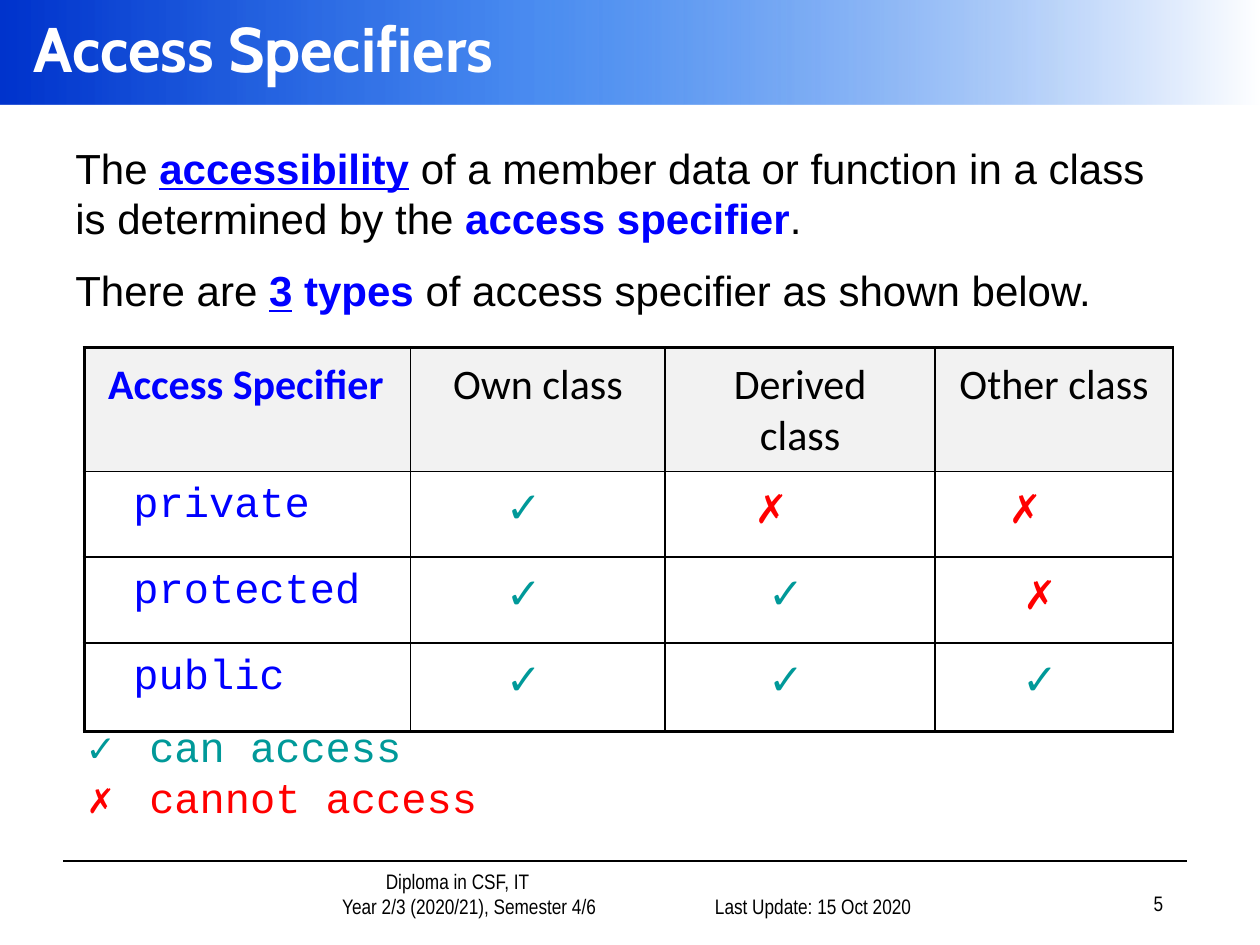
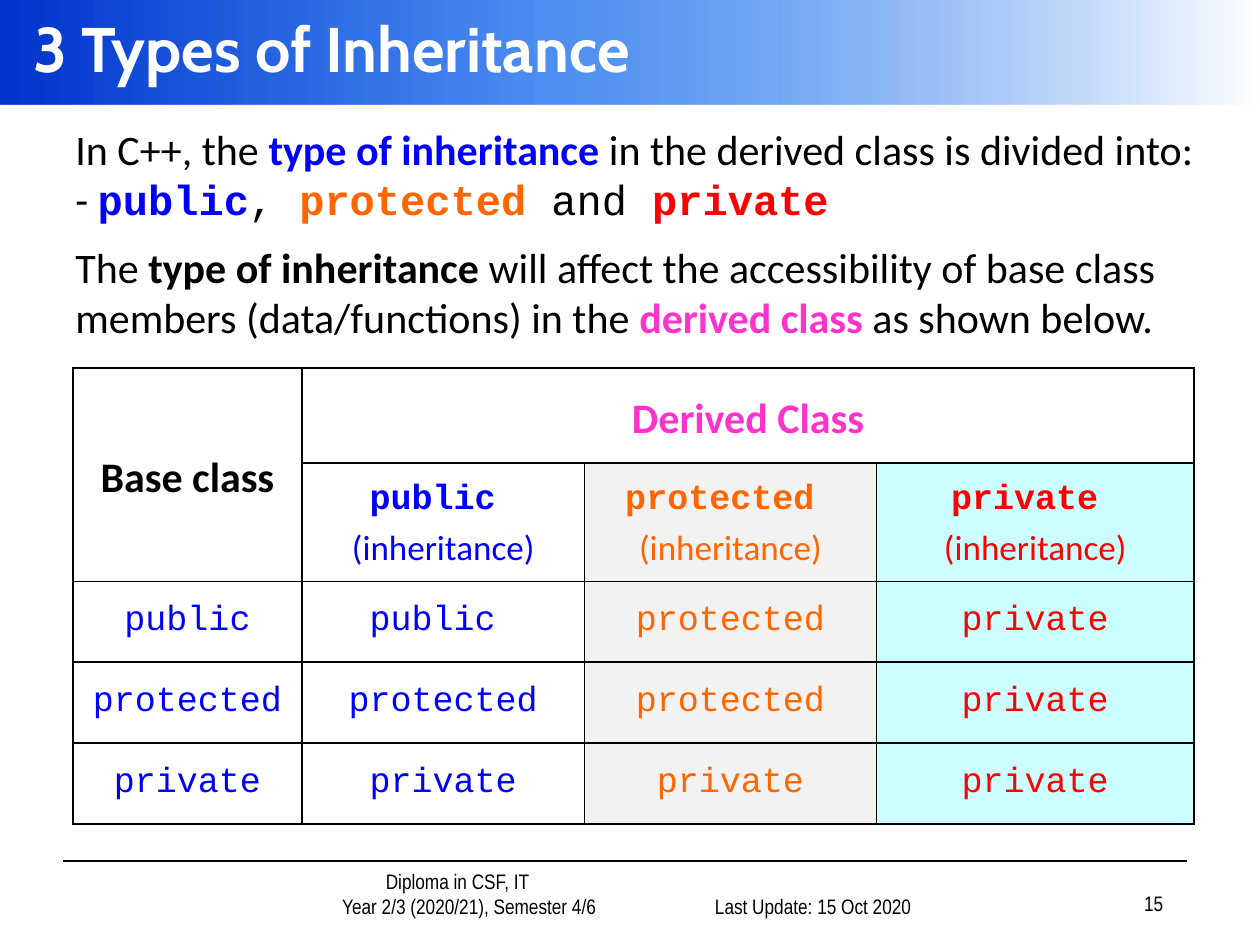
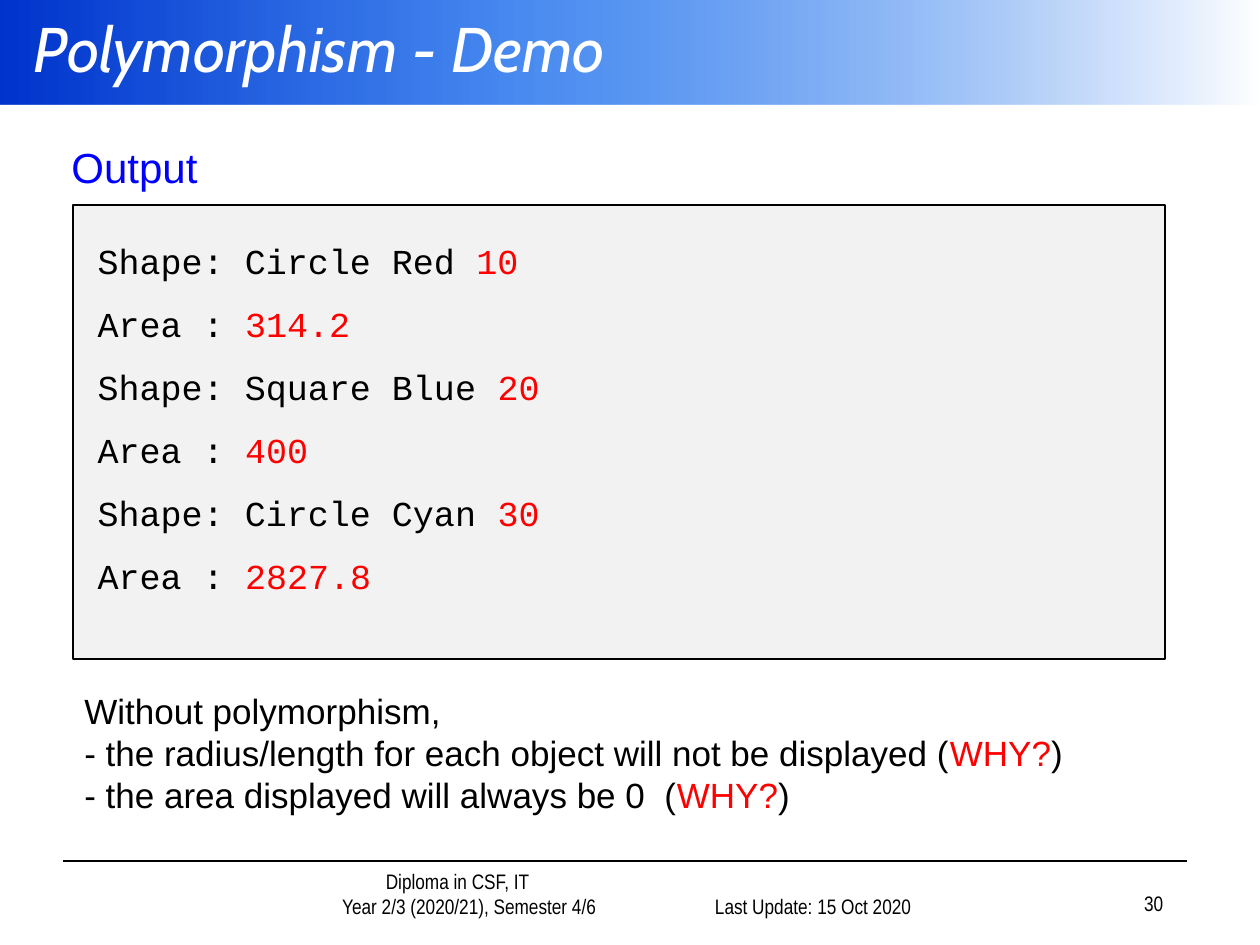
from dataclasses import dataclass
from functools import partial
from typing import NamedTuple, Optional

from lxml.etree import SubElement
from pptx import Presentation
from pptx.dml.color import RGBColor
from pptx.enum.shapes import MSO_CONNECTOR, MSO_SHAPE
from pptx.enum.text import MSO_ANCHOR, PP_ALIGN
from pptx.oxml import parse_xml
from pptx.oxml.ns import nsdecls, qn
from pptx.util import Cm, Pt

COLORS = {
    "black": "000000", "white": "FFFFFF", "blue": "0000FF", "red": "FF0000",
    "orange": "FF6600", "pink": "FF33CC", "teal": "009999", "grey": "F2F2F2",
    "aqua": "CCFFFF", "band_start": "0033CC", "band_middle": "005EEB",
}
LINE_RATIO = 1.2
CENTER, RIGHT = PP_ALIGN.CENTER, PP_ALIGN.RIGHT
TOP, MIDDLE, BOTTOM = MSO_ANCHOR.TOP, MSO_ANCHOR.MIDDLE, MSO_ANCHOR.BOTTOM


class Box(NamedTuple):
    """Left, top, width and height in centimetres."""
    left: float
    top: float
    width: float
    height: float

    def lengths(self) -> list:
        """Return the four values as lengths."""
        return [Cm(value) for value in self]


class Insets(NamedTuple):
    """Inner margins in centimetres."""
    left: float = 0.25
    top: float = 0.13
    right: float = 0.25
    bottom: float = 0.13


@dataclass
class Run:
    """A piece of text in one style."""
    text: str
    color: str = "black"
    font: str = "Arial"
    size: float = 24
    bold: bool = False
    underline: bool = False
    italic: bool = False


@dataclass
class Para:
    """Runs with paragraph settings; no spacing means LINE_RATIO times the size."""
    runs: list
    align: Optional[PP_ALIGN] = None
    before: float = 0
    after: float = 0
    spacing: Optional[float] = None
    left: float = 0
    first: float = 0


@dataclass
class CellSpec:
    """Content and look of one table cell."""
    paras: list
    fill: Optional[str] = None
    anchor: MSO_ANCHOR = TOP
    insets: Insets = Insets()


calibri = partial(Run, font="Calibri")
code = partial(Run, font="Courier New")
code_small = partial(Run, font="Courier New", size=20)
note = partial(Run, size=20)
footer_run = partial(Run, font="Arial Narrow", size=12)


def rgb(name: str) -> RGBColor:
    """Look up a colour."""
    return RGBColor.from_string(COLORS[name])


def write(frame, paras: list) -> None:
    """Fill a text frame with paragraphs, run by run."""
    for index, para in enumerate(paras):
        paragraph = frame.add_paragraph() if index else frame.paragraphs[0]
        paragraph.alignment = para.align or PP_ALIGN.LEFT
        paragraph.space_before, paragraph.space_after = Pt(para.before), Pt(para.after)
        tallest = max(run.size for run in para.runs)
        paragraph.line_spacing = para.spacing or Pt(tallest * LINE_RATIO)
        if para.left:
            properties = paragraph._p.get_or_add_pPr()
            properties.set("marL", str(Cm(para.left)))
            properties.set("indent", str(Cm(para.first)))
        for spec_run in para.runs:
            run = paragraph.add_run()
            run.text = spec_run.text
            font = run.font
            font.name, font.size = spec_run.font, Pt(spec_run.size)
            font.bold, font.italic = spec_run.bold, spec_run.italic
            font.underline = spec_run.underline
            font.color.rgb = rgb(spec_run.color)


def set_frame(frame, paras: list, anchor: MSO_ANCHOR, insets: Insets) -> None:
    """Set up a text frame and write into it."""
    frame.word_wrap = True
    frame.vertical_anchor = anchor
    frame.margin_left, frame.margin_top = Cm(insets.left), Cm(insets.top)
    frame.margin_right, frame.margin_bottom = Cm(insets.right), Cm(insets.bottom)
    write(frame, paras)


def add_text(slide, box: Box, paras: list, anchor: MSO_ANCHOR = TOP) -> None:
    """Add a plain text box."""
    set_frame(slide.shapes.add_textbox(*box.lengths()).text_frame, paras, anchor, Insets())


def add_panel(slide, box: Box, paras: list, fill: str,
              outline: Optional[str] = None, insets: Insets = Insets()) -> None:
    """Add a filled rectangle with text."""
    panel = slide.shapes.add_shape(MSO_SHAPE.RECTANGLE, *box.lengths())
    panel.shadow.inherit = False
    panel.fill.solid()
    panel.fill.fore_color.rgb = rgb(fill)
    if outline:
        panel.line.color.rgb = rgb(outline)
        panel.line.width = Pt(1)
    else:
        panel.line.fill.background()
    set_frame(panel.text_frame, paras, TOP, insets)


def add_band(slide) -> None:
    """Add the gradient band behind the title."""
    band = slide.shapes.add_shape(MSO_SHAPE.RECTANGLE, *Box(0, 0, 25.4, 2.11).lengths())
    band.shadow.inherit = False
    band.line.fill.background()
    band.fill.gradient()
    band.fill.gradient_angle = 0
    stops = band._element.spPr.find(qn("a:gradFill")).find(qn("a:gsLst"))
    for stop in list(stops):
        stops.remove(stop)
    for percent, name, opacity in ((0, "band_start", 100), (43, "band_middle", 70),
                                   (100, "white", 100)):
        stop = SubElement(stops, qn("a:gs"), pos=str(percent * 1000))
        color = SubElement(stop, qn("a:srgbClr"), val=COLORS[name])
        if opacity < 100:
            SubElement(color, qn("a:alpha"), val=str(opacity * 1000))


def add_base_slide(deck, title: Run, number: int):
    """Add a slide with its title, band and footer."""
    slide = deck.slides.add_slide(deck.slide_layouts[6])
    add_band(slide)
    title.font, title.size, title.color = "Cabin", 36, "white"
    add_text(slide, Box(0.43, 0, 24.97, 1.91), [Para([title], spacing=1.0)], MIDDLE)
    rule = slide.shapes.add_connector(MSO_CONNECTOR.STRAIGHT, Cm(1.27), Cm(17.35),
                                      Cm(23.93), Cm(17.35))
    rule.line.color.rgb = rgb("black")
    rule.line.width = Pt(1)
    SubElement(rule._element.spPr, qn("a:effectLst"))
    add_text(slide, Box(4.27, 17.58, 8.64, 1.07), [
        Para([footer_run("Diploma in CSF, IT")], CENTER, left=1.27),
        Para([footer_run("Year 2/3 (2020/21), Semester 4/6")], CENTER, left=1.74),
    ], BOTTOM)
    add_text(slide, Box(12.07, 17.58, 6.55, 1.07),
             [Para([footer_run("Last Update: 15 Oct 2020")], RIGHT)], BOTTOM)
    add_text(slide, Box(18.42, 17.53, 5.28, 1.07),
             [Para([footer_run(str(number))], RIGHT)], BOTTOM)
    return slide


def set_borders(cell, widths: dict) -> None:
    """Give a cell black borders; widths are points by side L, R, T, B."""
    properties = cell._tc.get_or_add_tcPr()
    for index, side in enumerate("LRTB"):
        properties.insert(index, parse_xml(
            f'<a:ln{side} {nsdecls("a")} w="{int(Pt(widths[side]))}"><a:solidFill>'
            f'<a:srgbClr val="{COLORS["black"]}"/></a:solidFill></a:ln{side}>'))


def add_grid(slide, left: float, top: float, columns: list, heights: list,
             cells: list, outer: float = 1):
    """Add a table; outer is the width of its left, top and bottom edge."""
    box = Box(left, top, sum(columns), sum(heights))
    table = slide.shapes.add_table(len(heights), len(columns), *box.lengths()).table
    table.first_row = table.horz_banding = False
    for column, width in zip(table.columns, columns):
        column.width = Cm(width)
    for row, height in zip(table.rows, heights):
        row.height = Cm(height)
    for r, row_cells in enumerate(cells):
        for c, content in enumerate(row_cells):
            cell = table.cell(r, c)
            if content and content.fill:
                cell.fill.solid()
                cell.fill.fore_color.rgb = rgb(content.fill)
            else:
                cell.fill.background()
            set_borders(cell, {"L": 1 if c else outer, "R": 1, "T": 1 if r else outer,
                               "B": outer if r == len(heights) - 1 else 1})
            if content:
                cell.vertical_anchor = content.anchor
                cell.margin_left, cell.margin_top = Cm(content.insets.left), Cm(content.insets.top)
                cell.margin_right = Cm(content.insets.right)
                cell.margin_bottom = Cm(content.insets.bottom)
                write(cell.text_frame, content.paras)
    return table


def build_access(deck) -> None:
    """Slide on access specifiers."""
    slide = add_base_slide(deck, Run("Access Specifiers", bold=True), 5)
    key = partial(Run, color="blue", bold=True)
    add_text(slide, Box(1.27, 2.74, 22.86, 4.24), [
        Para([Run("The "), key("accessibility", underline=True),
              Run(" of a member data or function in a class is determined by the "),
              key("access specifier"), Run(".")]),
        Para([Run("There are "), key("3", underline=True), key(" types "),
              Run("of access specifier as shown below.")], before=12),
    ])

    side, edge, space = 0.48, 0.23, 0.59

    def heading(text: str) -> CellSpec:
        """Column heading."""
        return CellSpec([Para([calibri(text)], CENTER, spacing=1.0)], "grey",
                        insets=Insets(side, edge, side, edge))

    def specifier(text: str) -> CellSpec:
        """Indented keyword."""
        return CellSpec([Para([code(text, "blue")], spacing=1.0)],
                        insets=Insets(side + 0.51, edge, side, edge))

    def mark(allowed: bool, shift: int = 1) -> CellSpec:
        """Tick or cross, moved left by some half spaces."""
        sign = code("✓", "teal", size=28) if allowed else code("✗", "red", size=28)
        return CellSpec([Para([sign], CENTER, spacing=1.0)],
                        insets=Insets(side, edge, side + shift * space, edge))

    first = heading("Access Specifier")
    first.paras = [Para([calibri("Access Specifier", "blue", bold=True)], spacing=1.0)]
    add_grid(slide, 1.7, 7.01, [6.58, 5.13, 5.44, 4.8], [1.75, 1.73, 1.73, 1.78], [
        [first] + [heading(f"{owner} class") for owner in ("Own", "Derived", "Other")],
        [specifier("private"), mark(True), mark(False, 2), mark(False, 2)],
        [specifier("protected"), mark(True), mark(True), mark(False)],
        [specifier("public"), mark(True), mark(True), mark(True)],
    ], outer=2.25)
    add_text(slide, Box(1.52, 14.4, 22.61, 2.34), [
        Para([code(f"{sign}\t", color, bold=True), code(meaning, color)],
             left=1.24, first=-1.24)
        for sign, meaning, color in (("✓", "can access", "teal"),
                                     ("✗", "cannot access", "red"))
    ])


def build_inheritance(deck) -> None:
    """Slide on the types of inheritance."""
    slide = add_base_slide(deck, Run("3 Types of Inheritance", bold=True), 15)
    add_text(slide, Box(1.27, 2.36, 24.03, 4.57), [
        Para([calibri("In C++, the "), calibri("type of inheritance ", "blue", bold=True),
              calibri("in the derived class is divided into:")], spacing=1.0),
        Para([calibri("- "), code("public", "blue", bold=True), code(", "),
              code("protected", "orange", bold=True), code(" and "),
              code("private", "red", bold=True)], spacing=1.0),
        Para([calibri("The "), calibri("type of inheritance", bold=True),
              calibri(" will affect the accessibility of base class members "
                      "(data/functions) in the "),
              calibri("derived class ", "pink", bold=True),
              calibri("as shown below.")], before=9.8, spacing=1.0),
    ])

    insets = Insets(0.18, 0, 0.18, 0)

    def heading(*runs: Run, fill: Optional[str] = None) -> CellSpec:
        """Heading cell with one line per run."""
        return CellSpec([Para([run], CENTER, spacing=1.15) for run in runs],
                        fill, MIDDLE, insets)

    def level(text: str, color: str, fill: Optional[str] = None) -> CellSpec:
        """Access level."""
        return CellSpec([Para([code_small(text, color)], CENTER, spacing=1.5)],
                        fill, insets=insets)

    kinds = [("public", "blue", "white"), ("protected", "orange", "grey"),
             ("private", "red", "aqua")]
    names = [name for name, _, _ in kinds]
    rows = [
        [heading(calibri("Base class", bold=True)),
         heading(calibri("Derived Class", "pink", bold=True)), None, None],
        [None] + [heading(code_small(f"{name} ", color, bold=True),
                          calibri("(inheritance)", color, size=20), fill=fill)
                  for name, color, fill in kinds],
    ]
    for base, base_name in enumerate(names):
        # The stricter of the two levels applies.
        derived = [level(names[max(base, kind)] + (" " if base == kind == 0 else ""),
                         color, fill)
                   for kind, (_, color, fill) in enumerate(kinds)]
        rows.append([level(base_name, "blue")] + derived)
    table = add_grid(slide, 1.47, 7.42, [4.62, 5.69, 5.89, 6.4],
                     [1.91, 2.39] + [1.63] * 3, rows)
    table.cell(0, 0).merge(table.cell(1, 0))
    table.cell(0, 1).merge(table.cell(0, 3))


def build_polymorphism(deck) -> None:
    """Slide with the output of the demo."""
    slide = add_base_slide(deck, Run("Polymorphism - Demo", italic=True), 30)
    output = [("Circle Red", "10", "314.2"), ("Square Blue", "20", "400"),
              ("Circle Cyan", "30", "2827.8")]
    lines = [line for shape, length, area in output
             for line in ((f"Shape: {shape} ", length), ("Area : ", area))]
    add_panel(slide, Box(1.47, 4.14, 22.02, 9.14), [
        Para([code_small(label), code_small(value, "red")], after=12, left=0.25)
        for label, value in lines
    ], "grey", "black", Insets(top=0.68))
    add_panel(slide, Box(1.19, 2.72, 11.63, 1.27), [Para([Run("Output", "blue")])], "white")
    questions = ("- the radius/length for each object will not be displayed (",
                 "- the area displayed will always be 0  (")
    add_text(slide, Box(1.45, 13.77, 22.02, 3.68), [
        Para([note("Without polymorphism,")]),
        *(Para([note(question), note("WHY?", "red"), note(")")]) for question in questions),
    ])


def main() -> None:
    """Build and save the deck."""
    deck = Presentation()
    deck.slide_width, deck.slide_height = Cm(25.4), Cm(19.05)
    build_access(deck)
    build_inheritance(deck)
    build_polymorphism(deck)
    deck.save("out.pptx")


main()
